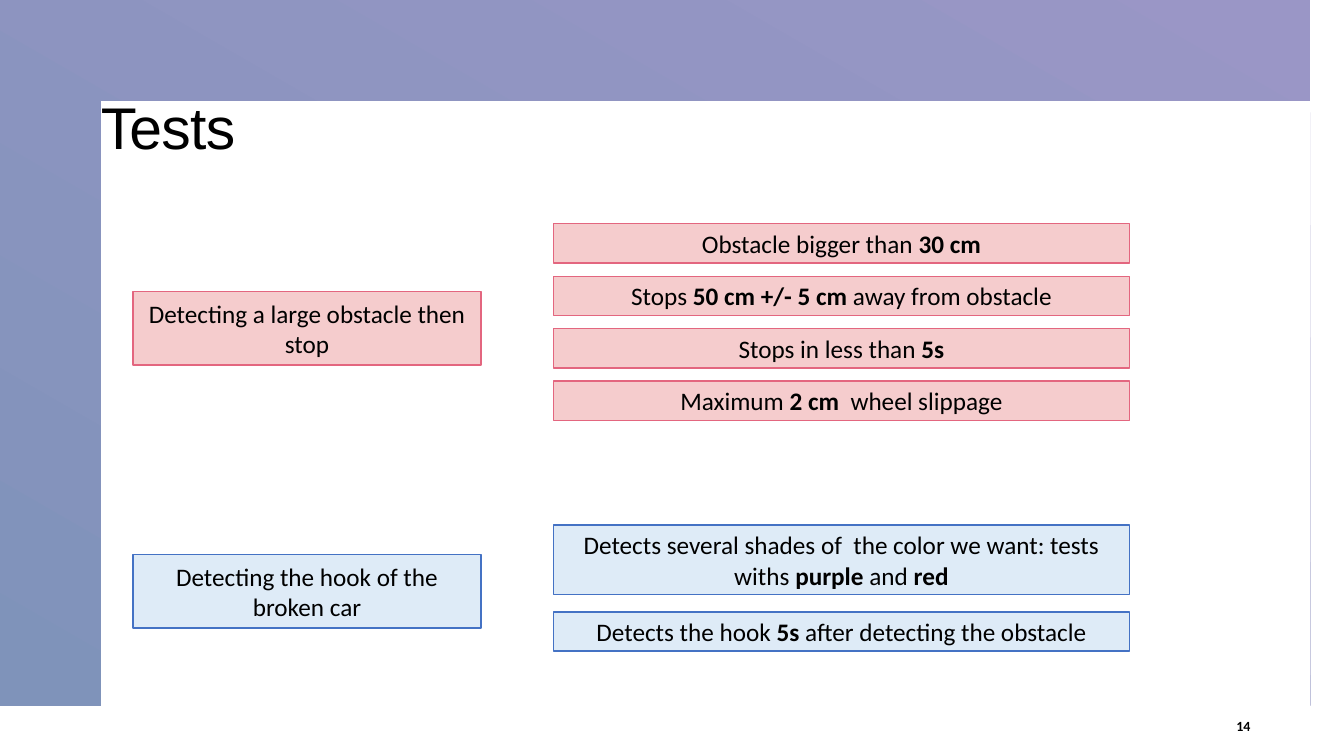
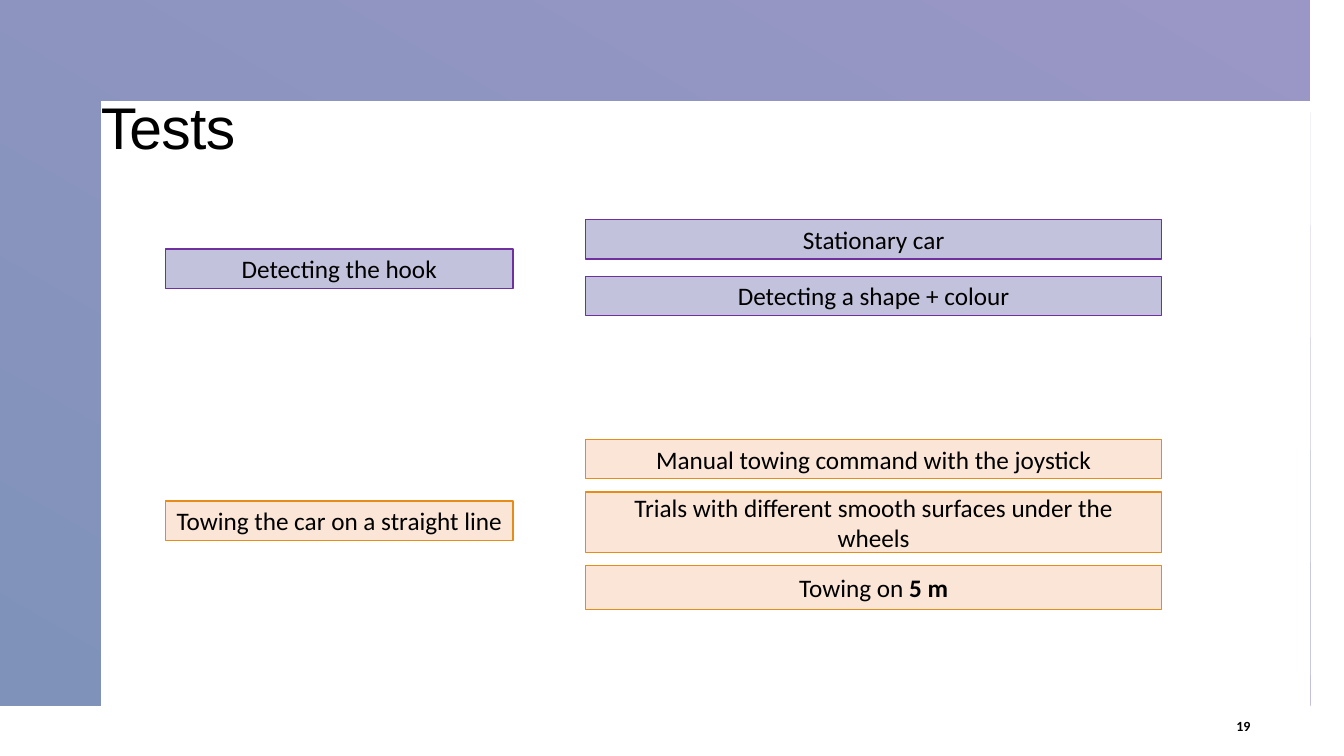
from lxml import etree
from pptx import Presentation
from pptx.dml.color import RGBColor
from pptx.enum import shapes, text
from pptx.oxml import ns
from pptx.util import Inches, Pt

BLACK = RGBColor(0x00, 0x00, 0x00)
BAND_PURPLE = RGBColor(0x9A, 0x96, 0xC6)
BAND_BLUE = RGBColor(0x7F, 0x93, 0xBA)
PINK = RGBColor(0xF5, 0xCC, 0xCD)
ROSE = RGBColor(0xE3, 0x66, 0x7F)
PALE_BLUE = RGBColor(0xDE, 0xEB, 0xF7)
BLUE = RGBColor(0x44, 0x72, 0xC4)
LILAC = RGBColor(0x99, 0x96, 0xC6)
VIOLET = RGBColor(0x70, 0x30, 0xA0)
PEACH = RGBColor(0xFB, 0xE5, 0xD6)
ORANGE = RGBColor(0xE6, 0x8D, 0x19)

WIDTH, HEIGHT = 13.33, 7.5
ROW = 0.39
OBSTACLE = (PINK, ROSE, 100)
HOOK = (PALE_BLUE, BLUE, 100)
STATIONARY = (LILAC, VIOLET, 58)
TOWING = (PEACH, ORANGE, 100)


def write(frame, content, size=18, font="Calibri", align=text.PP_ALIGN.CENTER,
          anchor=text.MSO_ANCHOR.MIDDLE, bold=False, line_spacing=None, tracking=None):
    frame.word_wrap = True
    frame.auto_size = text.MSO_AUTO_SIZE.NONE
    frame.vertical_anchor = anchor
    paragraph = frame.paragraphs[0]
    paragraph.alignment = align
    paragraph.line_spacing = line_spacing
    for index, part in enumerate(content.split("**")):
        if not part:
            continue
        run = paragraph.add_run()
        run.text = part
        run.font.name = font
        run.font.size = Pt(size)
        run.font.bold = bold or index % 2 == 1
        run.font.color.rgb = BLACK
        if tracking is not None:
            run.font._element.set("spc", str(int(tracking * 100)))


class Deck:
    def __init__(self):
        self.presentation = Presentation()
        self.presentation.slide_width = Inches(WIDTH)
        self.presentation.slide_height = Inches(HEIGHT)
        self.layout = self.presentation.slide_layouts[5]
        self.slide = None

    def start(self, title, number):
        first = self.slide is None
        self.slide = self.presentation.slides.add_slide(self.layout)
        if first:
            self.band()
        heading = self.slide.shapes.title
        heading.left, heading.top = Inches(0.9), Inches(0.9)
        heading.width, heading.height = Inches(10), Inches(1.47)
        write(heading.text_frame, title, size=42, font="Arial", align=text.PP_ALIGN.LEFT,
              anchor=text.MSO_ANCHOR.TOP, line_spacing=0.95, tracking=-0.5)
        page = self.slide.shapes.add_textbox(Inches(11.92), Inches(7), Inches(0.58), Inches(0.4))
        write(page.text_frame, number, size=10, align=text.PP_ALIGN.RIGHT, bold=True)

    def band(self):
        left, right, top, bottom = 0.84, 12.51, 0.84, 6.68
        corners = [(WIDTH, 0), (WIDTH, bottom), (right, bottom), (right, top),
                   (left, top), (left, bottom), (0, bottom)]
        builder = self.slide.shapes.build_freeform(0, 0, scale=Inches(1))
        builder.add_line_segments(corners, close=True)
        band = builder.convert_to_shape()
        band.shadow.inherit = False
        band.line.fill.background()
        band.fill.gradient()
        band.fill.gradient_angle = 240
        for stop, color in zip(band.fill.gradient_stops, (BAND_PURPLE, BAND_BLUE)):
            stop.color.rgb = color
        self.layout.shapes.element.insert(2, band.element)

    def box(self, content, left, top, width, height, style):
        fill, line, opacity = style
        box = self.slide.shapes.add_shape(shapes.MSO_SHAPE.RECTANGLE, Inches(left), Inches(top),
                                          Inches(width), Inches(height))
        box.shadow.inherit = False
        box.fill.solid()
        box.fill.fore_color.rgb = fill
        box.line.color.rgb = line
        box.line.width = Pt(1)
        if opacity < 100:
            color = box.element.spPr.find(ns.qn("a:solidFill"))[0]
            etree.SubElement(color, ns.qn("a:alpha")).set("val", str(opacity * 1000))
        write(box.text_frame, content)

    def group(self, goal, criteria, style, left, goal_top, goal_height, top, gap):
        self.box(goal, left, goal_top, 3.45, goal_height, style)
        for criterion, height in criteria:
            self.box(criterion, left + 4.17, top, 5.71, height, style)
            top += height + gap


def main():
    deck = Deck()

    deck.start("Tests", "14")
    deck.group("Detecting a large obstacle then stop",
               [("Obstacle bigger than **30 cm**", ROW),
                ("Stops **50 cm +/- 5 cm **away from obstacle", ROW),
                ("Stops in less than **5s**", ROW),
                ("Maximum **2 cm ** wheel slippage", ROW)],
               OBSTACLE, left=1.32, goal_top=2.89, goal_height=0.73, top=2.22, gap=0.13)
    deck.group("Detecting the hook of the broken car",
               [("Detects several shades of  the color we want: tests withs "
                 "**purple** and **red**", 0.69),
                ("Detects the hook **5s** after detecting the obstacle", ROW)],
               HOOK, left=1.32, goal_top=5.5, goal_height=0.73, top=5.21, gap=0.17)

    deck.start("Tests", "19")
    deck.group("Detecting the hook",
               [("Stationary car", ROW),
                ("Detecting a shape + colour", ROW)],
               STATIONARY, left=1.64, goal_top=2.47, goal_height=ROW, top=2.18, gap=0.17)
    deck.group("Towing the car on a straight line",
               [("Manual towing command with the joystick", ROW),
                ("Trials with different smooth surfaces under the wheels", 0.6),
                ("Towing on **5 m**", 0.44)],
               TOWING, left=1.64, goal_top=4.97, goal_height=ROW, top=4.36, gap=0.13)

    deck.presentation.save("out.pptx")


if __name__ == "__main__":
    main()
